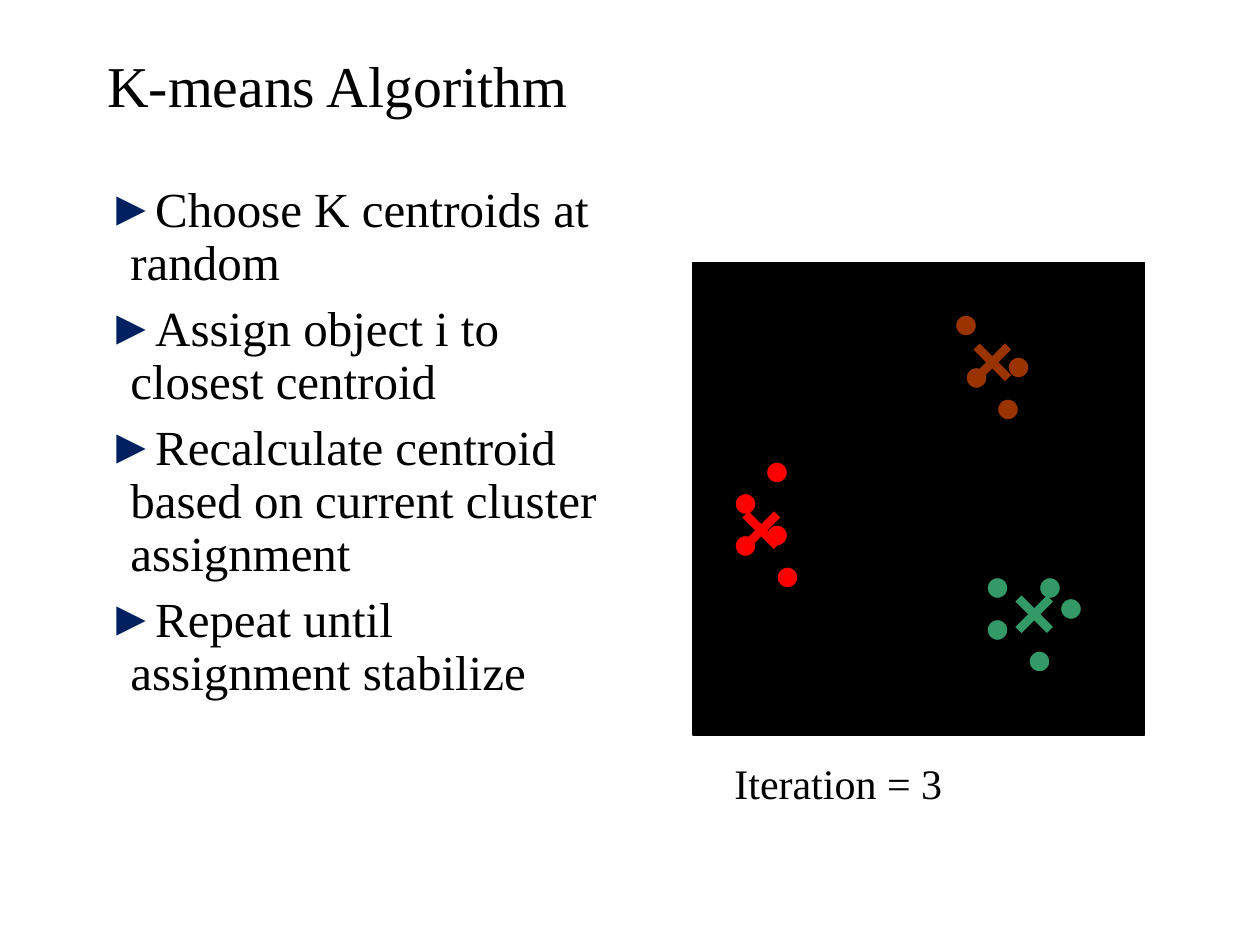
import pptx
import pptx.dml.color
import pptx.enum.shapes
import pptx.enum.text
import pptx.oxml
import pptx.oxml.ns
import pptx.util
from pptx.util import Inches

BLACK = pptx.dml.color.RGBColor(0x00, 0x00, 0x00)
NAVY = pptx.dml.color.RGBColor(0x00, 0x20, 0x60)
BROWN = pptx.dml.color.RGBColor(0x99, 0x33, 0x00)
GREEN = pptx.dml.color.RGBColor(0x33, 0x99, 0x66)
RED = pptx.dml.color.RGBColor(0xFF, 0x00, 0x00)
FONT = "Times New Roman"
BULLET_FONT = "Arial"

GRID = Inches(1) / 12
DOT_CELLS = 2
CROSS_CELLS = 3
BULLET_INDENT = Inches(3 / 16)

STEPS = [
    "Choose K centroids at random",
    "Assign object i to closest centroid",
    "Recalculate centroid based on current cluster assignment",
    "Repeat until assignment stabilize",
]
CLUSTERS = [
    (BROWN, (27, 8), [(25, 5), (26, 10), (29, 13), (30, 9)]),
    (GREEN, (31, 32), [(33, 30), (35, 32), (32, 37), (28, 30), (28, 34)]),
    (RED, (5, 24), [(7, 19), (7, 25), (8, 29), (4, 22), (4, 26)]),
]


def add_run(paragraph, text, size):
    """Add one black run in the slide font."""
    run = paragraph.add_run()
    run.text = text
    run.font.name = FONT
    run.font.size = pptx.util.Pt(size)
    run.font.color.rgb = BLACK


def set_bullet(paragraph, character, color):
    """Give a paragraph a hanging coloured bullet."""
    properties = paragraph._p.get_or_add_pPr()
    properties.set("marL", str(BULLET_INDENT))
    properties.set("indent", str(-BULLET_INDENT))
    namespace = pptx.oxml.ns.nsdecls("a")
    for xml in (
        f'<a:buClr {namespace}><a:srgbClr val="{color}"/></a:buClr>',
        f'<a:buFont {namespace} typeface="{BULLET_FONT}"/>',
        f'<a:buChar {namespace} char="{character}"/>',
    ):
        properties.append(pptx.oxml.parse_xml(xml))


def add_title(slide, left, top, width, height):
    """Place and fill the title placeholder."""
    title = slide.shapes.title
    title.left, title.top, title.width, title.height = left, top, width, height
    frame = title.text_frame
    frame.auto_size = pptx.enum.text.MSO_AUTO_SIZE.NONE
    frame.vertical_anchor = pptx.enum.text.MSO_ANCHOR.MIDDLE
    paragraph = frame.paragraphs[0]
    paragraph.alignment = pptx.enum.text.PP_ALIGN.LEFT
    paragraph.line_spacing = 0.9
    add_run(paragraph, "K-means Algorithm", 33)


def add_steps(slide, left, top, width, height):
    """List the steps of the algorithm."""
    frame = slide.shapes.add_textbox(left, top, width, height).text_frame
    frame.word_wrap = True
    for index, step in enumerate(STEPS):
        paragraph = frame.add_paragraph() if index else frame.paragraphs[0]
        paragraph.line_spacing = 0.9
        paragraph.space_before = pptx.util.Pt(7.5)
        set_bullet(paragraph, "►", NAVY)
        add_run(paragraph, step, 28)


def add_filled_shape(slide, kind, left, top, width, height, color):
    """Add a filled shape with a thin black outline."""
    shape = slide.shapes.add_shape(kind, left, top, width, height)
    shape.shadow.inherit = False
    shape.fill.solid()
    shape.fill.fore_color.rgb = color
    shape.line.color.rgb = BLACK
    shape.line.width = pptx.util.Pt(0.75)


def add_cross(slide, left, top, size, color):
    """Mark a centroid with two grouped diagonal lines."""
    group = slide.shapes.add_group_shape()
    right, bottom = left + size, top + size
    for start, end in ((top, bottom), (bottom, top)):
        line = group.shapes.add_connector(
            pptx.enum.shapes.MSO_CONNECTOR.STRAIGHT, left, start, right, end)
        line.line.color.rgb = color
        line.line.width = pptx.util.Pt(5)
        line._element.spPr.append(pptx.oxml.parse_xml(
            f'<a:effectLst {pptx.oxml.ns.nsdecls("a")}/>'))


def add_cluster_plot(slide, left, top, width, height):
    """Draw the clusters and their centroids on a black panel."""
    kinds = pptx.enum.shapes.MSO_SHAPE
    add_filled_shape(slide, kinds.RECTANGLE, left, top, width, height, BLACK)
    dot_size = round(DOT_CELLS * GRID)
    for color, centroid, dots in CLUSTERS:
        for column, row in dots:
            add_filled_shape(slide, kinds.OVAL, left + round(column * GRID),
                             top + round(row * GRID), dot_size, dot_size, color)
        column, row = centroid
        add_cross(slide, left + round(column * GRID), top + round(row * GRID),
                  round(CROSS_CELLS * GRID), color)


def add_caption(slide, left, top, width, height):
    """Write the iteration number below the plot."""
    frame = slide.shapes.add_textbox(left, top, width, height).text_frame
    frame.word_wrap = False
    frame.auto_size = pptx.enum.text.MSO_AUTO_SIZE.SHAPE_TO_FIT_TEXT
    paragraph = frame.paragraphs[0]
    paragraph.space_before = pptx.util.Pt(4.8)
    add_run(paragraph, "Iteration = 3", 24)


def main():
    """Build and save the slide."""
    presentation = pptx.Presentation()
    presentation.slide_width = Inches(10)
    presentation.slide_height = Inches(7.5)
    slide = presentation.slides.add_slide(presentation.slide_layouts[5])
    add_title(slide, Inches(0.75), Inches(0.08), Inches(8.5), Inches(1.25))
    add_steps(slide, Inches(0.75), Inches(1.42), Inches(4.17), Inches(5.5))
    add_cluster_plot(slide, Inches(5.5), Inches(25 / 12), Inches(43 / 12), Inches(3.75))
    add_caption(slide, Inches(5.73), Inches(5.96), Inches(1.85), Inches(0.5))
    presentation.save("out.pptx")


if __name__ == "__main__":
    main()
